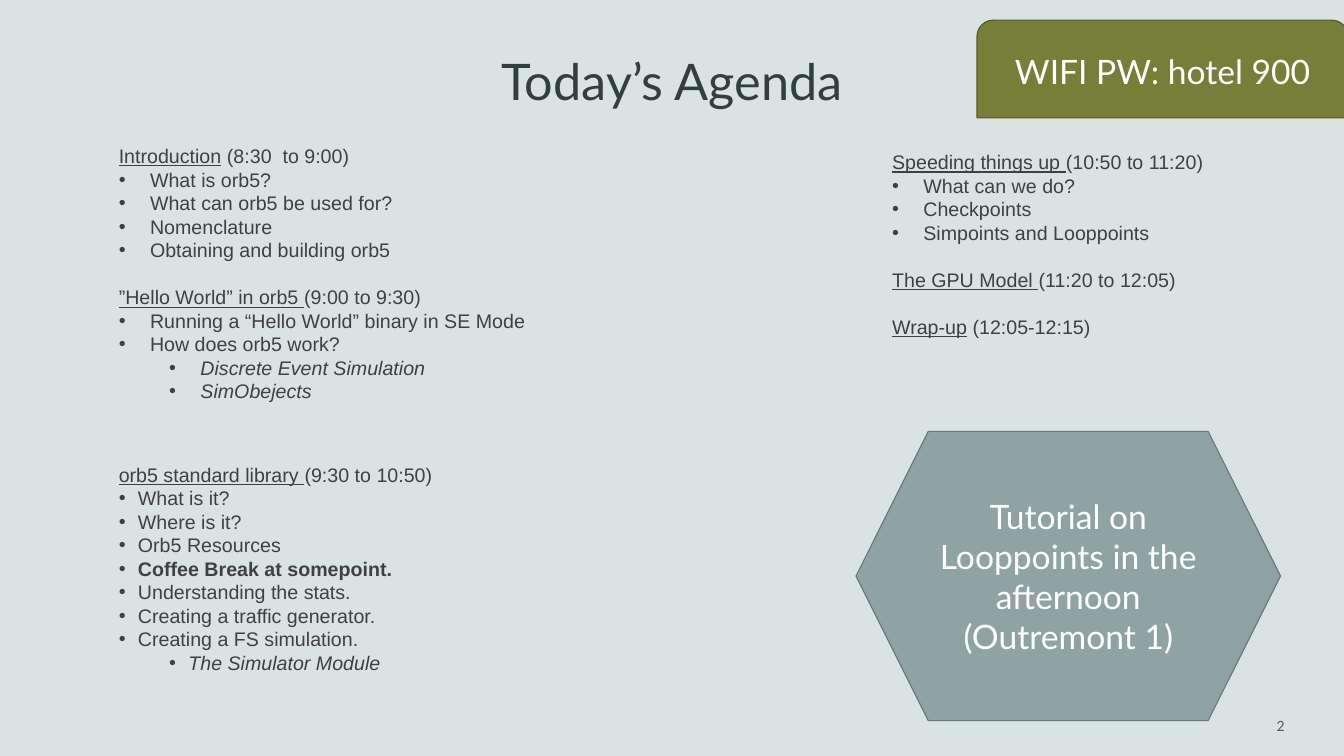
from lxml import etree
from pptx import Presentation
from pptx.dml.color import RGBColor
from pptx.enum.shapes import MSO_SHAPE
from pptx.enum.text import MSO_ANCHOR, PP_ALIGN
from pptx.oxml.ns import qn
from pptx.util import Inches, Pt

HEXAGON, TAB = MSO_SHAPE.HEXAGON, MSO_SHAPE.ROUND_2_SAME_RECTANGLE
MIDDLE, BOTTOM = MSO_ANCHOR.MIDDLE, MSO_ANCHOR.BOTTOM
LEFT, CENTER, RIGHT = PP_ALIGN.LEFT, PP_ALIGN.CENTER, PP_ALIGN.RIGHT

BACKGROUND = RGBColor(0xDA, 0xE3, 0xE3)
TITLE = RGBColor(0x30, 0x3F, 0x3F)
BODY = RGBColor(0x40, 0x40, 0x40)
NUMBER = RGBColor(0x57, 0x5B, 0x5B)
WHITE = RGBColor(0xFF, 0xFF, 0xFF)
SAGE = RGBColor(0x8F, 0xA3, 0xA3)
SAGE_DARK = RGBColor(0x6A, 0x79, 0x79)
OLIVE = RGBColor(0x76, 0x7E, 0x37)
OLIVE_DARK = RGBColor(0x57, 0x5D, 0x29)

LINE_PITCH = 16.8  # points per agenda line
SUB_INDENT = 0.5   # extra inches for a second-level item

# Each section: heading, time, items as (level, text, format)
ITALIC, BOLD = {"italic": True}, {"bold": True}
OPENING = [
    ("Introduction", " (8:30  to 9:00)", [
        (0, "What is orb5?", {}),
        (0, "What can orb5 be used for?", {}),
        (0, "Nomenclature", {}),
        (0, "Obtaining and building orb5", {})]),
    ("”Hello World” in orb5 ", "(9:00 to 9:30)", [
        (0, "Running a “Hello World” binary in SE Mode", {}),
        (0, "How does orb5 work?", {}),
        (1, "Discrete Event Simulation", ITALIC),
        (1, "SimObejects", ITALIC)]),
]
LIBRARY = [
    ("orb5 standard library ", "(9:30 to 10:50)", [
        (0, "What is it?", {}),
        (0, "Where is it?", {}),
        (0, "Orb5 Resources", {}),
        (0, "Coffee Break at somepoint.", BOLD),
        (0, "Understanding the stats.", {}),
        (0, "Creating a traffic generator.", {}),
        (0, "Creating a FS simulation.", {}),
        (1, "The Simulator Module", ITALIC)]),
]
CLOSING = [
    ("Speeding things up ", "(10:50 to 11:20)", [
        (0, "What can we do?", {}),
        (0, "Checkpoints", {}),
        (0, "Simpoints and Looppoints", {})]),
    ("The GPU Model ", "(11:20 to 12:05)", []),
    ("Wrap-up", " (12:05-12:15)", []),
]


def add_text(p, text, size=14, font="Arial", color=BODY, align=LEFT,
             bold=False, italic=False, underline=False):
    p.alignment = align
    r = p.add_run()
    r.text = text
    f = r.font
    f.size, f.name, f.color.rgb = Pt(size), font, color
    f.bold, f.italic, f.underline = bold, italic, underline


def add_box(slide, box):
    sp = slide.shapes.add_textbox(*map(Inches, box))
    sp.text_frame.word_wrap = True
    return sp.text_frame


def add_label(slide, box, text, anchor, **fmt):
    tf = add_box(slide, box)
    tf.vertical_anchor = anchor
    add_text(tf.paragraphs[0], text, font="Lato", **fmt)


def add_bullet(p, level, hang):
    p.level = level
    pPr = p._p.get_or_add_pPr()
    pPr.set("marL", str(Inches(hang + level * SUB_INDENT)))
    pPr.set("indent", str(-Inches(hang)))
    etree.SubElement(pPr, qn("a:buFont")).set("typeface", "Arial")
    etree.SubElement(pPr, qn("a:buChar")).set("char", "•")


def add_agenda(slide, box, sections, hang):
    """Place underlined headings with times, each above its bulleted items."""
    tf = add_box(slide, box)
    for i, (heading, time, items) in enumerate(sections):
        p = tf.add_paragraph() if i else tf.paragraphs[0]
        p.line_spacing = Pt(LINE_PITCH)
        p.space_before = Pt(LINE_PITCH if i else 0)
        add_text(p, heading, underline=True)
        add_text(p, time)
        for level, text, fmt in items:
            p = tf.add_paragraph()
            p.line_spacing = Pt(LINE_PITCH)
            add_bullet(p, level, hang)
            add_text(p, text, **fmt)


def add_callout(slide, kind, box, text, fill, line):
    sp = slide.shapes.add_shape(kind, *map(Inches, box))
    sp.shadow.inherit = False
    sp.fill.solid()
    sp.fill.fore_color.rgb = fill
    sp.line.color.rgb = line
    sp.line.width = Pt(0.85)
    tf = sp.text_frame
    tf.word_wrap = True
    tf.vertical_anchor = MIDDLE
    add_text(tf.paragraphs[0], text, 24, "Lato", WHITE, CENTER)


def main():
    prs = Presentation()
    prs.slide_width, prs.slide_height = Inches(13.33), Inches(7.5)
    slide = prs.slides.add_slide(prs.slide_layouts[6])
    slide.background.fill.solid()
    slide.background.fill.fore_color.rgb = BACKGROUND

    add_label(slide, (1.08, 0.43, 11.17, 0.72), "Today’s Agenda", BOTTOM,
              size=36, color=TITLE, align=CENTER)
    add_label(slide, (10.92, 6.95, 1.92, 0.5), "2", MIDDLE,
              size=10, color=NUMBER, align=RIGHT)
    add_agenda(slide, (1.08, 4.54, 6.26, 2.22), LIBRARY, hang=0.19)
    add_agenda(slide, (1.08, 1.38, 6.26, 2.69), OPENING, hang=0.31)
    add_agenda(slide, (8.75, 1.44, 4.5, 1.99), CLOSING, hang=0.31)
    add_callout(slide, HEXAGON, (8.49, 4.28, 4.21, 2.87),
                "Tutorial on Looppoints in the afternoon (Outremont 1)",
                SAGE, SAGE_DARK)
    add_callout(slide, TAB, (9.69, 0.2, 3.68, 0.97), "WIFI PW: hotel 900",
                OLIVE, OLIVE_DARK)
    prs.save("out.pptx")


if __name__ == "__main__":
    main()
